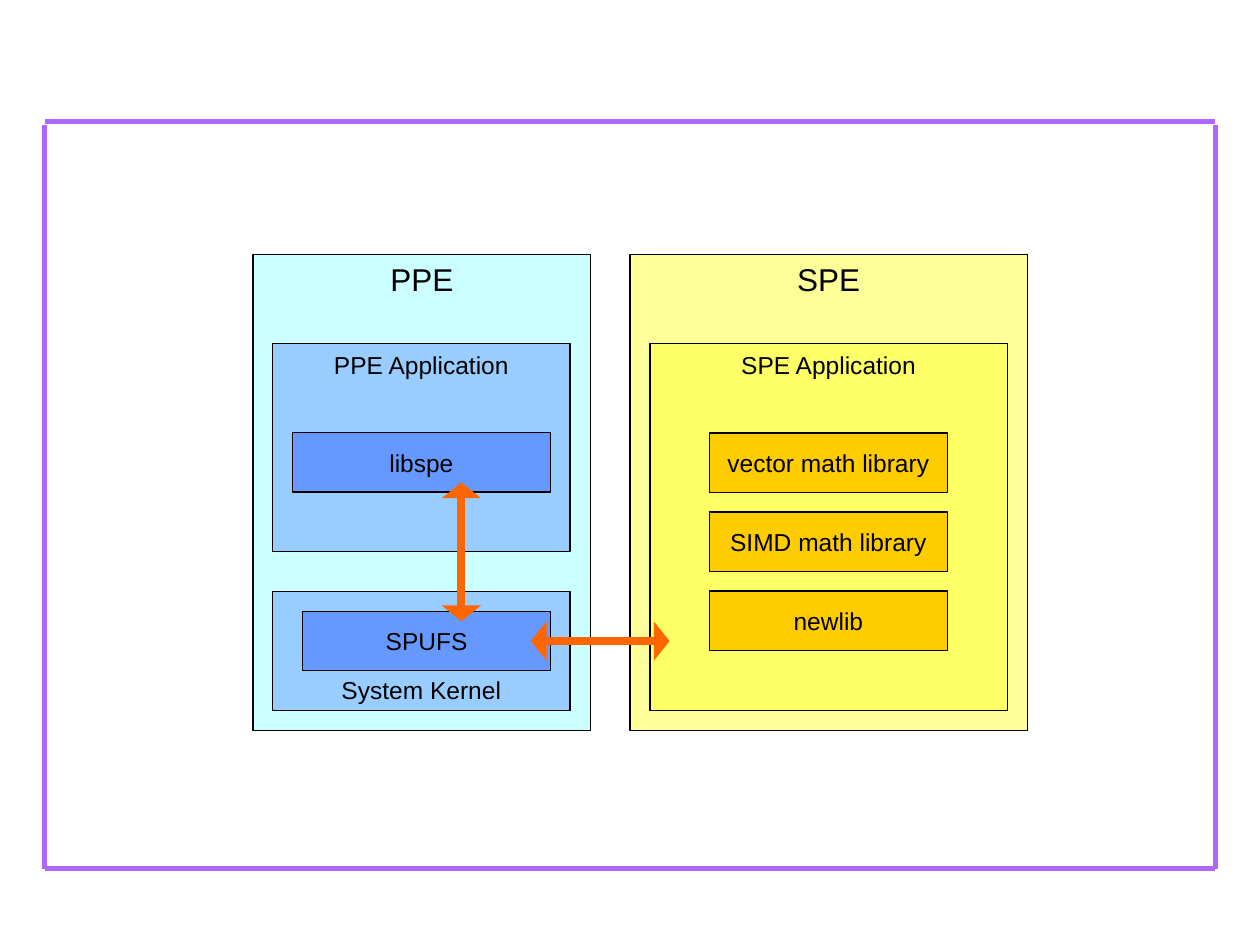
from dataclasses import dataclass

import lxml.etree
import pptx
import pptx.dml.color
import pptx.enum.shapes
import pptx.enum.text
import pptx.oxml.ns
import pptx.util

Pt = pptx.util.Pt
RGBColor = pptx.dml.color.RGBColor
Anchor = pptx.enum.text.MSO_ANCHOR

BLACK = RGBColor(0x00, 0x00, 0x00)
PURPLE = RGBColor(0xAF, 0x67, 0xFF)
ORANGE = RGBColor(0xFF, 0x66, 0x00)
PALE_CYAN = RGBColor(0xCC, 0xFF, 0xFF)
LIGHT_BLUE = RGBColor(0x99, 0xCC, 0xFF)
BLUE = RGBColor(0x66, 0x99, 0xFF)
PALE_YELLOW = RGBColor(0xFF, 0xFF, 0x99)
YELLOW = RGBColor(0xFF, 0xFF, 0x66)
GOLD = RGBColor(0xFF, 0xCC, 0x00)

MODULE_HEIGHT = 34
LIBRARY_TOP = 247.5
LIBRARY_PITCH = 45.1


@dataclass
class Block:
    text: str
    left: float
    top: float
    width: float
    height: float
    fill: RGBColor
    anchor: Anchor = Anchor.MIDDLE
    size: float = 14
    wrap: bool = False


@dataclass
class Stroke:
    x1: float
    y1: float
    x2: float
    y2: float
    color: RGBColor
    width: float
    arrows: bool = False


FRAME = [
    Stroke(25.8, 69.4, 694.2, 69.4, PURPLE, 3),
    Stroke(25.8, 496.4, 694.2, 496.4, PURPLE, 3),
    Stroke(25.5, 71.5, 25.5, 496.5, PURPLE, 3),
    Stroke(694.6, 71.5, 694.6, 496.5, PURPLE, 3),
]
BLOCKS = [
    Block("PPE", 144.6, 145.3, 193, 272, PALE_CYAN, Anchor.TOP, 18),
    Block("System Kernel", 155.8, 338, 170, 68, LIGHT_BLUE, Anchor.BOTTOM),
    Block("PPE Application", 155.8, 196.3, 170, 119, LIGHT_BLUE, Anchor.TOP),
    Block("SPUFS", 172.8, 349.3, 142, MODULE_HEIGHT, BLUE),
    Block("libspe", 167, 247.2, 147.6, MODULE_HEIGHT, BLUE),
    Block("SPE", 360, 145.3, 227, 272, PALE_YELLOW, Anchor.TOP, 18),
    Block("SPE Application", 371.4, 196.3, 204.2, 209.6, YELLOW, Anchor.TOP),
]
LIBRARIES = [
    Block(name, 405.4, LIBRARY_TOP + index * LIBRARY_PITCH, 136, MODULE_HEIGHT, GOLD,
          wrap=index < 2)
    for index, name in enumerate(["vector math library", "SIMD math library", "newlib"])
]
LINKS = [
    Stroke(303.3, 366.3, 382.6, 366.3, ORANGE, 4.5, True),
    Stroke(263.6, 355, 263.6, 275.7, ORANGE, 4.5, True),
]


def apply_format(target: object, values: dict) -> None:
    for name, value in values.items():
        setattr(target, name, value)


def draw_block(page: pptx.slide.Slide, block: Block) -> None:
    box = page.shapes.add_shape(
        pptx.enum.shapes.MSO_SHAPE.RECTANGLE,
        Pt(block.left), Pt(block.top), Pt(block.width), Pt(block.height),
    )
    box.shadow.inherit = False
    box.fill.solid()
    box.fill.fore_color.rgb = block.fill
    box.line.color.rgb = BLACK
    box.line.width = Pt(0.75)
    apply_format(box.text_frame, {
        "word_wrap": block.wrap,
        "vertical_anchor": block.anchor,
        "margin_left": Pt(7.2),
        "margin_right": Pt(7.2),
        "margin_top": Pt(3.6),
        "margin_bottom": Pt(3.6),
    })
    para = box.text_frame.paragraphs[0]
    para.alignment = pptx.enum.text.PP_ALIGN.CENTER
    span = para.add_run()
    span.text = block.text
    apply_format(span.font, {"name": "Arial", "size": Pt(block.size)})
    span.font.color.rgb = BLACK


def draw_stroke(page: pptx.slide.Slide, stroke: Stroke) -> None:
    connector = page.shapes.add_connector(
        pptx.enum.shapes.MSO_CONNECTOR.STRAIGHT,
        Pt(stroke.x1), Pt(stroke.y1), Pt(stroke.x2), Pt(stroke.y2),
    )
    connector.line.color.rgb = stroke.color
    connector.line.width = Pt(stroke.width)
    qualify = pptx.oxml.ns.qn
    properties = connector.element.spPr
    if stroke.arrows:
        outline = properties.find(qualify("a:ln"))
        for end in ("a:headEnd", "a:tailEnd"):
            lxml.etree.SubElement(outline, qualify(end), type="triangle", w="lg", len="sm")
    lxml.etree.SubElement(properties, qualify("a:effectLst"))


def main() -> None:
    deck = pptx.Presentation()
    apply_format(deck, {"slide_width": Pt(720), "slide_height": Pt(540)})
    page = deck.slides.add_slide(deck.slide_layouts.get_by_name("Blank"))
    for stroke in FRAME:
        draw_stroke(page, stroke)
    for block in BLOCKS + LIBRARIES:
        draw_block(page, block)
    for stroke in LINKS:
        draw_stroke(page, stroke)
    deck.save("out.pptx")


if __name__ == "__main__":
    main()
